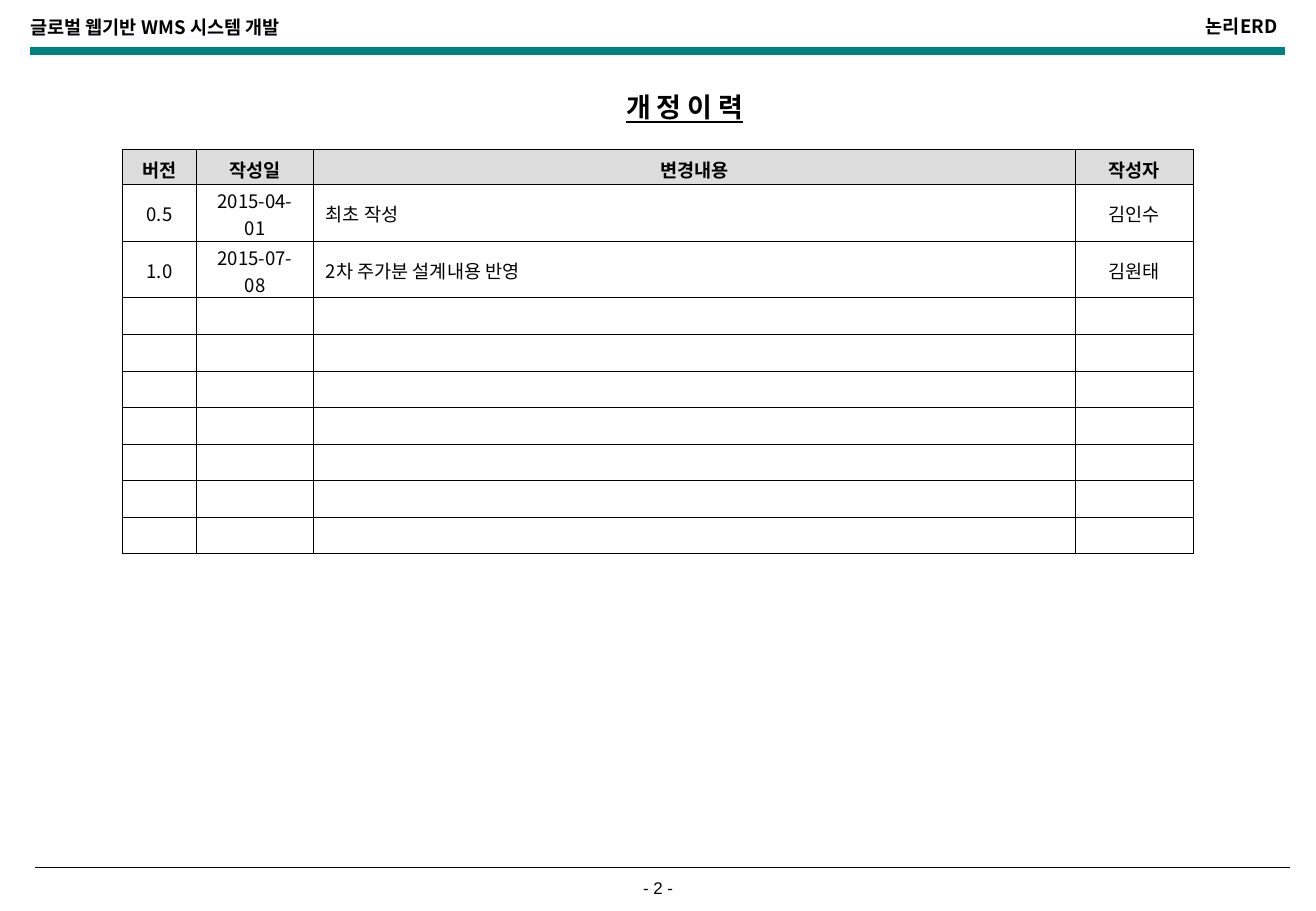
from lxml.etree import SubElement
from pptx import Presentation
from pptx.dml.color import RGBColor
from pptx.enum.shapes import MSO_CONNECTOR
from pptx.enum.text import MSO_ANCHOR, PP_ALIGN
from pptx.oxml.ns import qn
from pptx.util import Pt

BLACK = RGBColor(0, 0, 0)
WHITE = RGBColor(255, 255, 255)
GRAY = RGBColor(0xDD, 0xDD, 0xDD)
TEAL = RGBColor(0, 0x80, 0x80)
KOREAN = "Noto Sans CJK KR"
LEFT, MID, RIGHT = PP_ALIGN.LEFT, PP_ALIGN.CENTER, PP_ALIGN.RIGHT
SIZE = (780.13, 540)

# text, (left, top, width, height), alignment, wrap, font
LABELS = [
    ("글로벌 웹기반 WMS 시스템 개발", (10.8, 5.8, 378.7, 26.6), LEFT, True,
     dict(name=KOREAN, size=Pt(11), bold=True)),
    ("논리ERD", (510.2, 5.4, 254.2, 26.6), RIGHT, True,
     dict(name=KOREAN, size=Pt(11), bold=True)),
    ("- 2 -", (356.6, 516.5, 67, 31), MID, True,
     dict(name="Arial", size=Pt(10))),
    ("개 정 이 력", (357.3, 50.2, 97.2, 26.6), MID, False,
     dict(name=KOREAN, size=Pt(16), bold=True, underline=True)),
]
# left, top, width, colour, weight
RULES = [(18, 30.2, 743.8, TEAL, 4.5), (20.9, 514.2, 743.8, BLACK, 1)]

HEAD = ["버전", "작성일", "변경내용", "작성자"]
LOG = [
    ["0.5", "2015-04-01", "최초 작성", "김인수"],
    ["1.0", "2015-07-08", "2차 주가분 설계내용 반영", "김원태"],
]
DATE, NOTE = 1, 2
SPARE = 7
ROWS = [HEAD] + LOG + [[""] * len(HEAD)] * SPARE
HEIGHTS = [20.7] + [33.6] * len(LOG) + [21.7] * SPARE
WIDTHS = [43.9, 69.4, 451.6, 70]
TABLE = (72.6, 88.6)


def write(para, text, align, form):
    para.alignment = align
    run = para.add_run()
    run.text = text
    for key, value in form.items():
        setattr(run.font, key, value)
    run.font.color.rgb = BLACK
    SubElement(run.font._element, qn("a:ea"), typeface=form["name"])


def add_label(slide, text, box, align, wrap, form):
    frame = slide.shapes.add_textbox(*map(Pt, box)).text_frame
    frame.word_wrap = wrap
    if not wrap:
        frame.vertical_anchor = MSO_ANCHOR.MIDDLE
    write(frame.paragraphs[0], text, align, form)


def add_rule(slide, left, top, width, color, weight):
    rule = slide.shapes.add_connector(
        MSO_CONNECTOR.STRAIGHT, Pt(left), Pt(top), Pt(left + width), Pt(top))
    rule.line.color.rgb = color
    rule.line.width = Pt(weight)
    SubElement(rule._element.spPr, qn("a:effectLst"))


def set_edges(cell):
    """Draw thin black borders; they must come before the cell's fill."""
    props = cell._tc.get_or_add_tcPr()
    for side in ("lnL", "lnR", "lnT", "lnB"):
        edge = SubElement(props, qn("a:" + side), w=str(Pt(0.45)))
        fill = SubElement(edge, qn("a:solidFill"))
        SubElement(fill, qn("a:srgbClr"), val=str(BLACK))


def top_gap(r, c):
    """Give the top margin that seats the text within its row."""
    if r == 0:
        return 3
    return 1.5 if c == DATE else 0.5


def add_log(slide):
    frame = slide.shapes.add_table(
        len(ROWS), len(WIDTHS), *map(Pt, TABLE),
        Pt(sum(WIDTHS)), Pt(sum(HEIGHTS)))
    table = frame.table
    table.first_row = table.horz_banding = False
    for col, width in zip(table.columns, WIDTHS):
        col.width = Pt(width)
    for r, (texts, height) in enumerate(zip(ROWS, HEIGHTS)):
        table.rows[r].height = Pt(height)
        for c, text in enumerate(texts):
            cell = table.cell(r, c)
            cell.vertical_anchor = MSO_ANCHOR.MIDDLE
            cell.margin_top, cell.margin_bottom = Pt(top_gap(r, c)), 0
            set_edges(cell)
            cell.fill.solid()
            cell.fill.fore_color.rgb = WHITE if r else GRAY
            para = cell.text_frame.paragraphs[0]
            if text:
                align = LEFT if r and c == NOTE else MID
                write(para, text, align,
                      dict(name=KOREAN, size=Pt(11), bold=r == 0))
            else:
                SubElement(para._p, qn("a:endParaRPr"), sz="1100")


def main():
    deck = Presentation()
    deck.slide_width, deck.slide_height = map(Pt, SIZE)
    slide = deck.slides.add_slide(deck.slide_layouts[6])
    for rule in RULES:
        add_rule(slide, *rule)
    for label in LABELS:
        add_label(slide, *label)
    add_log(slide)
    deck.save("out.pptx")


if __name__ == "__main__":
    main()
